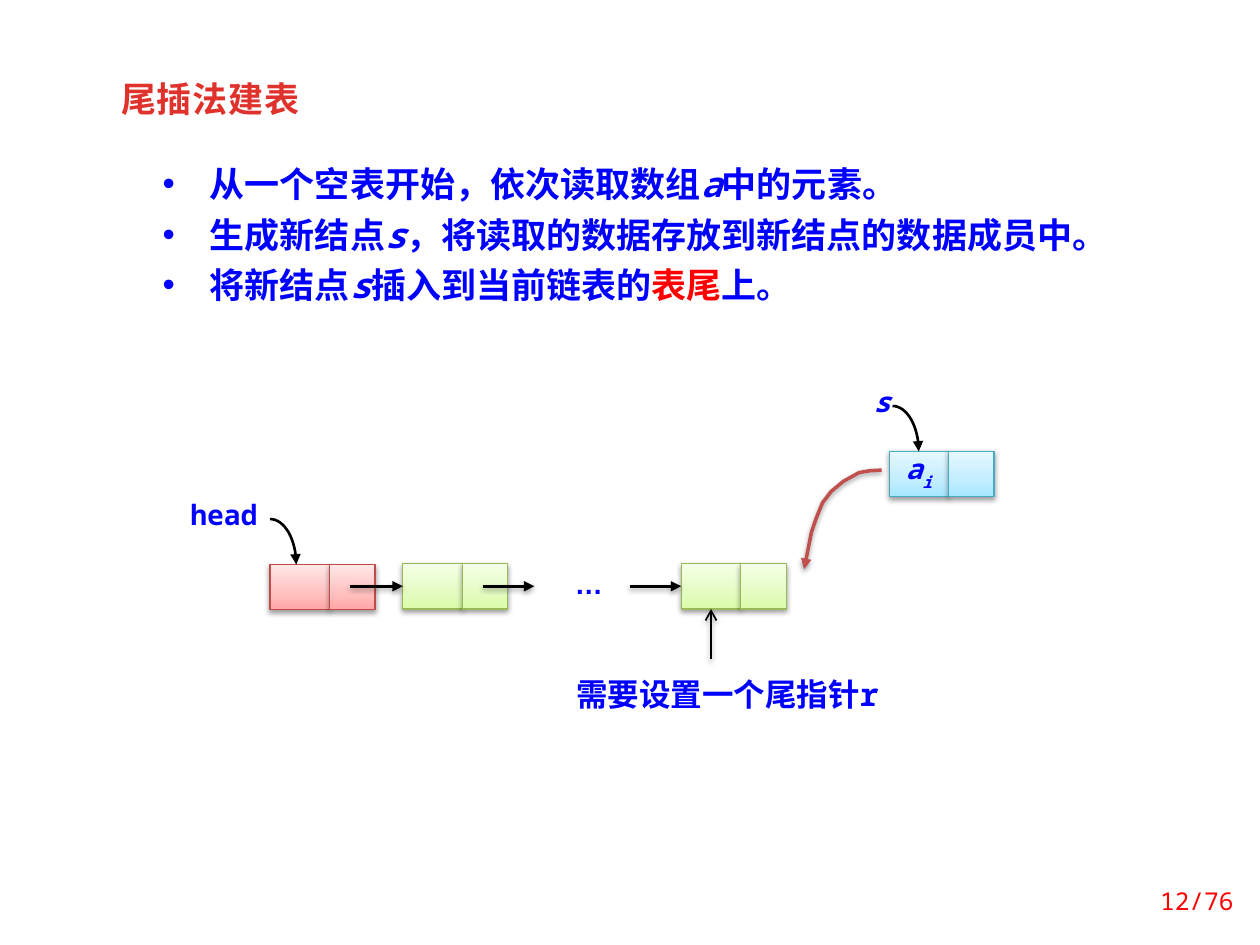
"""Builds the slide on creating a linked list by tail insertion."""
from copy import deepcopy
from math import cos, pi, sin

from lxml.etree import SubElement
from pptx import Presentation
from pptx.dml.color import RGBColor
from pptx.enum.shapes import MSO_CONNECTOR, MSO_SHAPE
from pptx.enum.text import MSO_ANCHOR, MSO_AUTO_SIZE, PP_ALIGN
from pptx.oxml.ns import qn
from pptx.util import Pt

LEFT, CENTER, RIGHT = PP_ALIGN.LEFT, PP_ALIGN.CENTER, PP_ALIGN.RIGHT
TOP, MIDDLE = MSO_ANCHOR.TOP, MSO_ANCHOR.MIDDLE
NO_AUTOSIZE = MSO_AUTO_SIZE.NONE
STRAIGHT, RECTANGLE = MSO_CONNECTOR.STRAIGHT, MSO_SHAPE.RECTANGLE
LEFT_SIDE, BOTTOM_SIDE = 1, 2
MONO, CJK = "Noto Sans Mono", "Noto Sans CJK SC"
COLORS = {"title": "E0322D", "text": "0000FF", "accent": "FF0000",
          "arrow": "000000", "insert": "C0504D", "paper": "FFFFFF"}
NODE_COLORS = {
    "head": ("BF4C48", "FFA6A5", "FFC0BF", "FFE7E7"),
    "list": ("98B955", "DAFDA7", "E4FCC2", "F5FFE7"),
    "new": ("46AAC5", "A7E6FF", "C1EDFF", "E7F8FF"),
}
STOPS = (0, 0.35, 1)
DATA_WIDTH, LINK_WIDTH, NODE_HEIGHT = 34, 26, 26
ARROW_LENGTH = 29.5


def rgb(name):
    return RGBColor.from_string(COLORS.get(name, name))


class SlideBuilder:
    """Holds the text style and the current slide."""

    def __init__(self, slide, font=MONO, color="text"):
        self.slide, self.font, self.color = slide, font, color

    def set_text(self, frame, paragraphs, size, align=LEFT, anchor=TOP, insets=(0, 0, 0, 0),
                 font=None, color=None, bold=True, after=0, leading=None, tracking=None):
        frame.word_wrap, frame.auto_size, frame.vertical_anchor = True, NO_AUTOSIZE, anchor
        (frame.margin_left, frame.margin_top,
         frame.margin_right, frame.margin_bottom) = map(Pt, insets)
        for index, runs in enumerate(paragraphs):
            paragraph = frame.add_paragraph() if index else frame.paragraphs[0]
            paragraph.alignment = align
            paragraph.space_before, paragraph.space_after = Pt(0), Pt(after)
            if leading:
                paragraph.line_spacing = Pt(leading)
            style = paragraph.font
            style.size, style.bold, style.name = Pt(size), bold, font or self.font
            style.color.rgb = rgb(color or self.color)
            defaults = paragraph._p.pPr.find(qn("a:defRPr"))
            SubElement(defaults, qn("a:ea"), typeface=CJK)
            if tracking:
                defaults.set("spc", str(tracking))
            for text, *marks in runs:
                run = paragraph.add_run()
                run.text = text
                if "italic" in marks:
                    run.font.italic = True
                if "accent" in marks:
                    run.font.color.rgb = rgb("accent")
                if "subscript" in marks:
                    run._r.get_or_add_rPr().set("baseline", "-30000")

    def placeholder(self, holder, box, paragraphs, size, **style):
        holder.left, holder.top, holder.width, holder.height = map(Pt, box)
        self.set_text(holder.text_frame, paragraphs, size, **style)

    def label(self, box, runs, size=16, align=CENTER, **style):
        label = self.slide.shapes.add_textbox(*map(Pt, box))
        label.fill.solid()
        label.fill.fore_color.rgb = rgb("paper")
        self.set_text(label.text_frame, [runs], size, align, **style)

    def effects(self, shape, shadow=True):
        effects = SubElement(shape._element.spPr, qn("a:effectLst"))
        if shadow:
            outer = SubElement(effects, qn("a:outerShdw"), blurRad=str(Pt(3.1)),
                               dist=str(Pt(1.6)), dir="5400000", rotWithShape="0")
            black = SubElement(outer, qn("a:srgbClr"), val="000000")
            SubElement(black, qn("a:alpha"), val="38000")

    def node(self, left, top, kind):
        outline, *shades = NODE_COLORS[kind]
        cells = []
        for offset, width in ((0, DATA_WIDTH), (DATA_WIDTH, LINK_WIDTH)):
            cell = self.slide.shapes.add_shape(
                RECTANGLE, Pt(left + offset), Pt(top), Pt(width), Pt(NODE_HEIGHT))
            cell.fill.gradient()
            cell.fill.gradient_angle = 90
            stop_list = cell._element.spPr.find(qn("a:gradFill")).find(qn("a:gsLst"))
            stop_list.insert(1, deepcopy(stop_list[0]))
            for stop, position, shade in zip(cell.fill.gradient_stops, STOPS, shades):
                stop.position, stop.color.rgb = position, rgb(shade)
            cell.line.color.rgb, cell.line.width = rgb(outline), Pt(0.75)
            self.effects(cell)
            cells.append(cell)
        return cells[0]

    def arrowhead(self, stroke, color, width, head="triangle", shadow=True):
        stroke.line.color.rgb, stroke.line.width = rgb(color), Pt(width)
        SubElement(stroke._element.spPr.find(qn("a:ln")), qn("a:tailEnd"), type=head)
        self.effects(stroke, shadow)

    def arrow(self, start, end, target=None, side=LEFT_SIDE, width=1.5, head="triangle"):
        arrow = self.slide.shapes.add_connector(STRAIGHT, *map(Pt, (*start, *end)))
        if target is not None:
            arrow.end_connect(target, side)
        self.arrowhead(arrow, "arrow", width, head)

    def curve(self, points, color="arrow", width=1.5, shadow=False):
        start, *rest = [(Pt(x), Pt(y)) for x, y in points]
        outline = self.slide.shapes.build_freeform(*start)
        outline.add_line_segments(rest, close=False)
        curve = outline.convert_to_shape()
        curve.fill.background()
        self.arrowhead(curve, color, width, shadow=shadow)

    def pointer(self, left, top, width=15, height=26, steps=16):
        angles = [pi / 2 * step / steps for step in range(steps + 1)]
        self.curve([(left + width * sin(angle), top + height * (1 - cos(angle)))
                    for angle in angles])


def main():
    deck = Presentation()
    deck.slide_width, deck.slide_height = Pt(720), Pt(540)
    slide = deck.slides.add_slide(deck.slide_layouts[1])
    builder = SlideBuilder(slide)
    title, steps = slide.placeholders

    builder.placeholder(title, (62, 40.3, 150, 31.7), [[("尾插法建表",)]], 20, anchor=MIDDLE,
                        insets=(7.2, 3.6, 0, 3.6), font=CJK, color="title", tracking=50)
    builder.placeholder(steps, (78.5, 84.2, 574, 113.8), [
        [("从一个空表开始，依次读取数组",), ("a", "italic"), ("中的元素。",)],
        [("生成新结点",), ("s", "italic"), ("，将读取的数据存放到新结点的数据成员中。",)],
        [("将新结点",), ("s", "italic"), ("插入到当前链表的",), ("表尾", "accent"), ("上。",)],
    ], 20, insets=(14.4, 8.6, 7.2, 8.6), after=5)

    list_top = 322
    link_y = list_top + NODE_HEIGHT / 2
    builder.node(154.3, list_top + 0.5, "head")
    builder.label((101.5, 284.4, 53, 21), [("head",)])
    builder.pointer(154.3, 296.6)
    first = builder.node(230.2, list_top, "list")
    last = builder.node(389.3, list_top, "list")
    builder.label((321, 324, 31, 21), [("…",)], font="Arial")
    for start, target in ((200.2, first), (275.8, None), (359.8, last)):
        builder.arrow((start, link_y), (start + ARROW_LENGTH, link_y), target)

    new_node = builder.node(508.1, 257.8, "new")
    builder.set_text(new_node.text_frame, [[("a", "italic"), ("i", "italic", "subscript")]],
                     16, CENTER, leading=23)
    builder.label((496, 219.6, 16, 21), [("s", "italic")])
    builder.pointer(510, 232)
    builder.curve([(503.8, 268.6), (497, 269), (491, 270), (482, 275), (475, 280.8),
                   (470, 287.3), (466.5, 296), (463.7, 304), (459.5, 325.2)],
                  "insert", 2, shadow=True)

    tail_x = 389.3 + DATA_WIDTH / 2
    builder.arrow((tail_x, 376.6), (tail_x, list_top + NODE_HEIGHT), last, BOTTOM_SIDE,
                  1, "arrow")
    builder.label((314.6, 382.3, 202.3, 28.8), [("需要设置一个尾指针r",)], 18, anchor=MIDDLE)
    builder.label((646.6, 500.4, 65.5, 28.8), [("12/76",)], 14, RIGHT, anchor=MIDDLE,
                  insets=(0, 3.6, 7.2, 3.6), color="accent", bold=False)
    deck.save("out.pptx")


if __name__ == "__main__":
    main()
